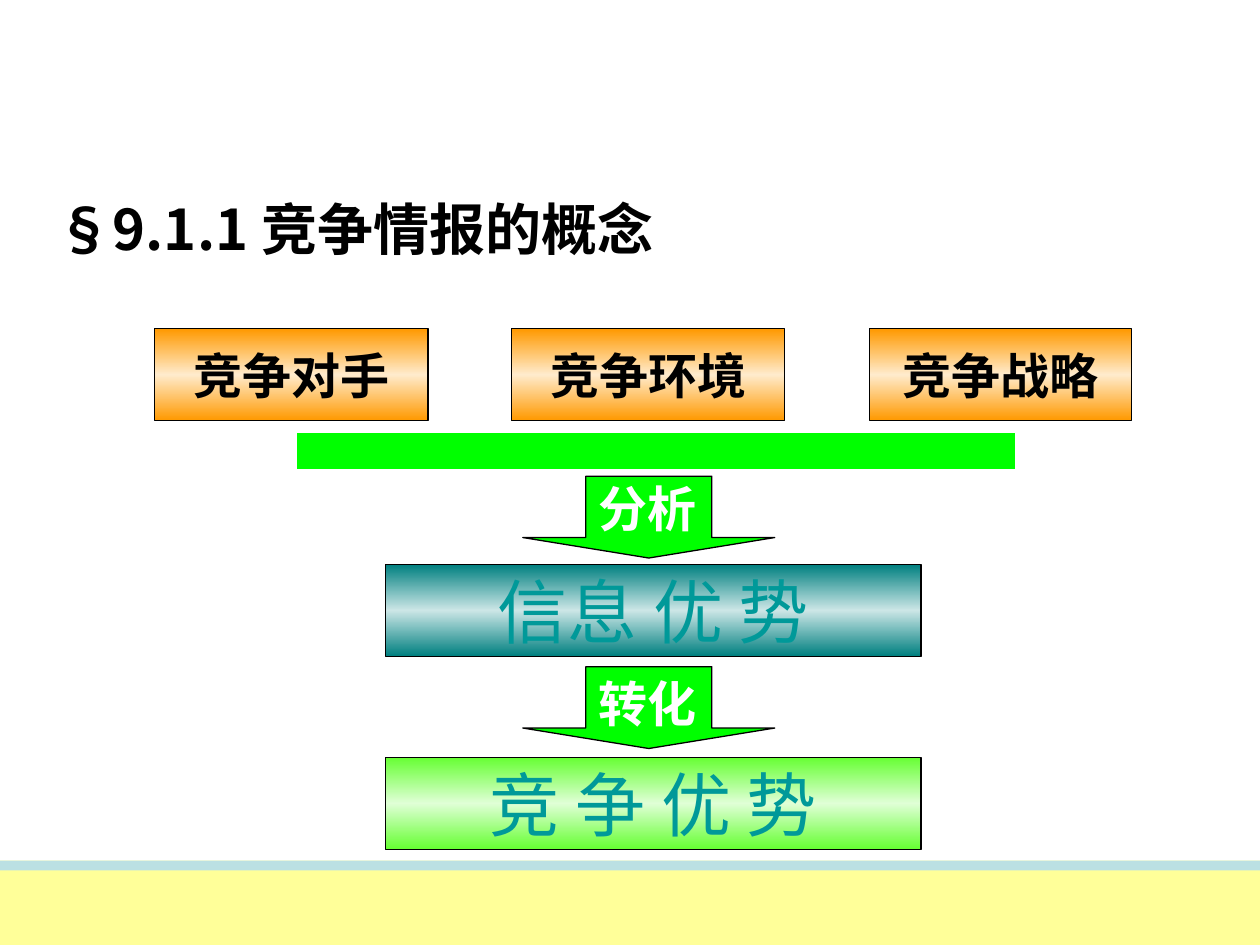
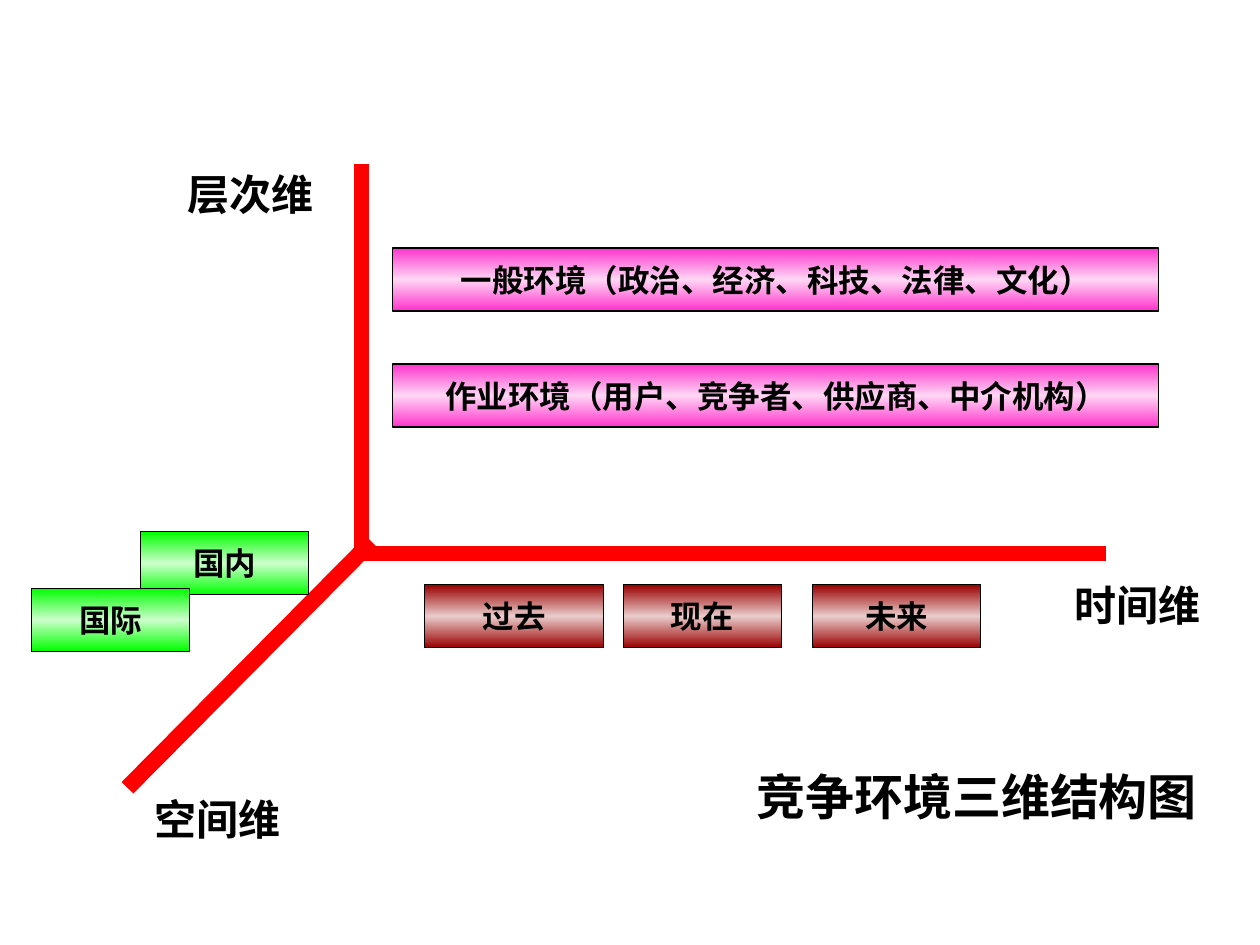
from copy import deepcopy

from lxml.etree import SubElement
from pptx import Presentation
from pptx.dml.color import RGBColor
from pptx.enum.shapes import MSO_CONNECTOR, MSO_SHAPE
from pptx.enum.text import MSO_ANCHOR, MSO_AUTO_SIZE, PP_ALIGN
from pptx.oxml.ns import qn
from pptx.util import Cm, Pt

BLACK = RGBColor(0x00, 0x00, 0x00)
WHITE = RGBColor(0xFF, 0xFF, 0xFF)
GREEN = RGBColor(0x00, 0xFF, 0x00)
RED = RGBColor(0xFF, 0x00, 0x00)
ORANGE = RGBColor(0xFF, 0x99, 0x00)
TEAL = RGBColor(0x00, 0x80, 0x80)
LIME = RGBColor(0x66, 0xFF, 0x33)
CYAN = RGBColor(0x00, 0x99, 0x99)
MAROON = RGBColor(0x99, 0x00, 0x00)
PINK = RGBColor(0xFF, 0x33, 0xCC)
PALE_YELLOW = RGBColor(0xFF, 0xFF, 0x99)
PALE_BLUE = RGBColor(0xBB, 0xE0, 0xE3)
LATIN = "Times New Roman"
HAN = "Noto Sans CJK SC"


def write(shape, text, size, color=BLACK, bold=True, align=PP_ALIGN.CENTER,
          anchor=MSO_ANCHOR.TOP, wrap=True, latin=LATIN):
    frame = shape.text_frame
    frame.text = text
    paragraph = frame.paragraphs[0]
    run = paragraph.runs[0]
    run.font.color.rgb = color
    formats = {
        frame: {"word_wrap": wrap, "vertical_anchor": anchor, "auto_size": MSO_AUTO_SIZE.NONE},
        paragraph: {"alignment": align},
        run.font: {"size": Pt(size), "bold": bold, "name": latin},
    }
    for target, values in formats.items():
        for name, value in values.items():
            setattr(target, name, value)
    SubElement(run.font._element, qn("a:ea"), typeface=HAN)
    return paragraph


def add_block(slide, kind, box, color, gradient=False, outlined=True):
    block = slide.shapes.add_shape(kind, *map(Cm, box))
    block.shadow.inherit = False
    if gradient:
        block.fill.gradient()
        block.fill.gradient_angle = 90
        first, last = block._element.spPr.xpath(".//a:gs")
        first.addnext(deepcopy(last))
        pale = RGBColor(*(round(255 - (255 - part) * 0.2) for part in color))
        for stop, shade, place in zip(block.fill.gradient_stops, (color, pale, color), (0, 0.5, 1)):
            stop.color.rgb = shade
            stop.position = place
    else:
        block.fill.solid()
        block.fill.fore_color.rgb = color
    if outlined:
        block.line.color.rgb = BLACK
        block.line.width = Pt(0.75)
    else:
        block.line.fill.background()
    return block


deck = Presentation()
deck.slide_width, deck.slide_height = Cm(25.4), Cm(19.05)
concept, dimensions = [deck.slides.add_slide(deck.slide_layouts[5]) for _ in range(2)]

for slide, text, box, size, align, latin in [
    (concept, "§9.1.1 竞争情报的概念", (0.89, 3.94, 22.83, 1.73), 32, PP_ALIGN.LEFT, HAN),
    (dimensions, "竞争环境三维结构图", (11.3, 15.32, 13.08, 1.45), 28, PP_ALIGN.RIGHT, LATIN),
]:
    title = slide.shapes.title
    for side, length in zip(("left", "top", "width", "height"), box):
        setattr(title, side, Cm(length))
    heading = write(title, text, size, align=align, latin=latin)
    if slide is concept:
        heading.line_spacing = 0.9

outline = dimensions.shapes.build_freeform(Cm(7.29), Cm(3.3))
outline.add_line_segments([(Cm(7.29), Cm(11.15)), (Cm(22.3), Cm(11.15))], close=False)
axes = outline.convert_to_shape()
axes.shadow.inherit = False
axes.fill.background()
axes.line.color.rgb = RED
axes.line.width = Pt(8.62)

for slide, ends, color, width in [
    (concept, (5.99, 9.09, 20.47, 9.09), GREEN, 20.25),
    (dimensions, (7.49, 10.92, 2.57, 15.88), RED, 9.38),
]:
    stroke = slide.shapes.add_connector(MSO_CONNECTOR.STRAIGHT, *map(Cm, ends))
    stroke.line.color.rgb = color
    stroke.line.width = Pt(width)
    SubElement(stroke._element.spPr, qn("a:effectLst"))

for height, color in [(1.7, PALE_YELLOW), (0.2, PALE_BLUE)]:
    add_block(concept, MSO_SHAPE.RECTANGLE, (0, 17.35, 25.4, height), color, outlined=False)

for top, label_top, step in [(9.6, 9.53, "分析"), (13.44, 13.46, "转化")]:
    arrow = add_block(concept, MSO_SHAPE.DOWN_ARROW, (10.54, top, 5.08, 1.65), GREEN)
    arrow.adjustments[0], arrow.adjustments[1] = 0.5, 0.25
    step_label = concept.shapes.add_textbox(Cm(11.81), Cm(label_top), Cm(4.45), Cm(1.45))
    write(step_label, step, 28, WHITE, align=PP_ALIGN.LEFT)

for slide, text, box, fill, size, color, bold in [
    (concept, "竞争对手", (3.12, 6.63, 5.51, 1.85), ORANGE, 28, BLACK, True),
    (concept, "竞争环境", (10.31, 6.63, 5.51, 1.85), ORANGE, 28, BLACK, True),
    (concept, "竞争战略", (17.53, 6.63, 5.28, 1.85), ORANGE, 28, BLACK, True),
    (concept, "信息 优 势", (7.77, 11.38, 10.8, 1.85), TEAL, 40, CYAN, False),
    (concept, "竞 争 优 势", (7.77, 15.27, 10.8, 1.85), LIME, 40, CYAN, False),
    (dimensions, "过去", (8.56, 11.79, 3.61, 1.27), MAROON, 18, BLACK, True),
    (dimensions, "现在", (12.57, 11.79, 3.18, 1.27), MAROON, 18, BLACK, True),
    (dimensions, "未来", (16.38, 11.79, 3.39, 1.27), MAROON, 18, BLACK, True),
    (dimensions, "国内", (2.84, 10.72, 3.38, 1.27), GREEN, 18, BLACK, True),
    (dimensions, "国际", (0.64, 11.86, 3.18, 1.27), GREEN, 18, BLACK, True),
    (dimensions, "作业环境（用户、竞争者、供应商、中介机构）", (7.92, 7.34, 15.44, 1.27), PINK, 18, BLACK, True),
    (dimensions, "一般环境（政治、经济、科技、法律、文化）", (7.92, 5, 15.44, 1.27), PINK, 18, BLACK, True),
]:
    bar = add_block(slide, MSO_SHAPE.RECTANGLE, box, fill, gradient=True)
    write(bar, text, size, color, bold, anchor=MSO_ANCHOR.MIDDLE, wrap=False)

for axis, left, top, width in [
    ("空间维", 1.63, 15.88, 5.51),
    ("层次维", 2.62, 3.28, 4.88),
    ("时间维", 20.7, 11.56, 4.45),
]:
    axis_label = dimensions.shapes.add_textbox(Cm(left), Cm(top), Cm(width), Cm(1.27))
    write(axis_label, axis, 24)

deck.save("out.pptx")
